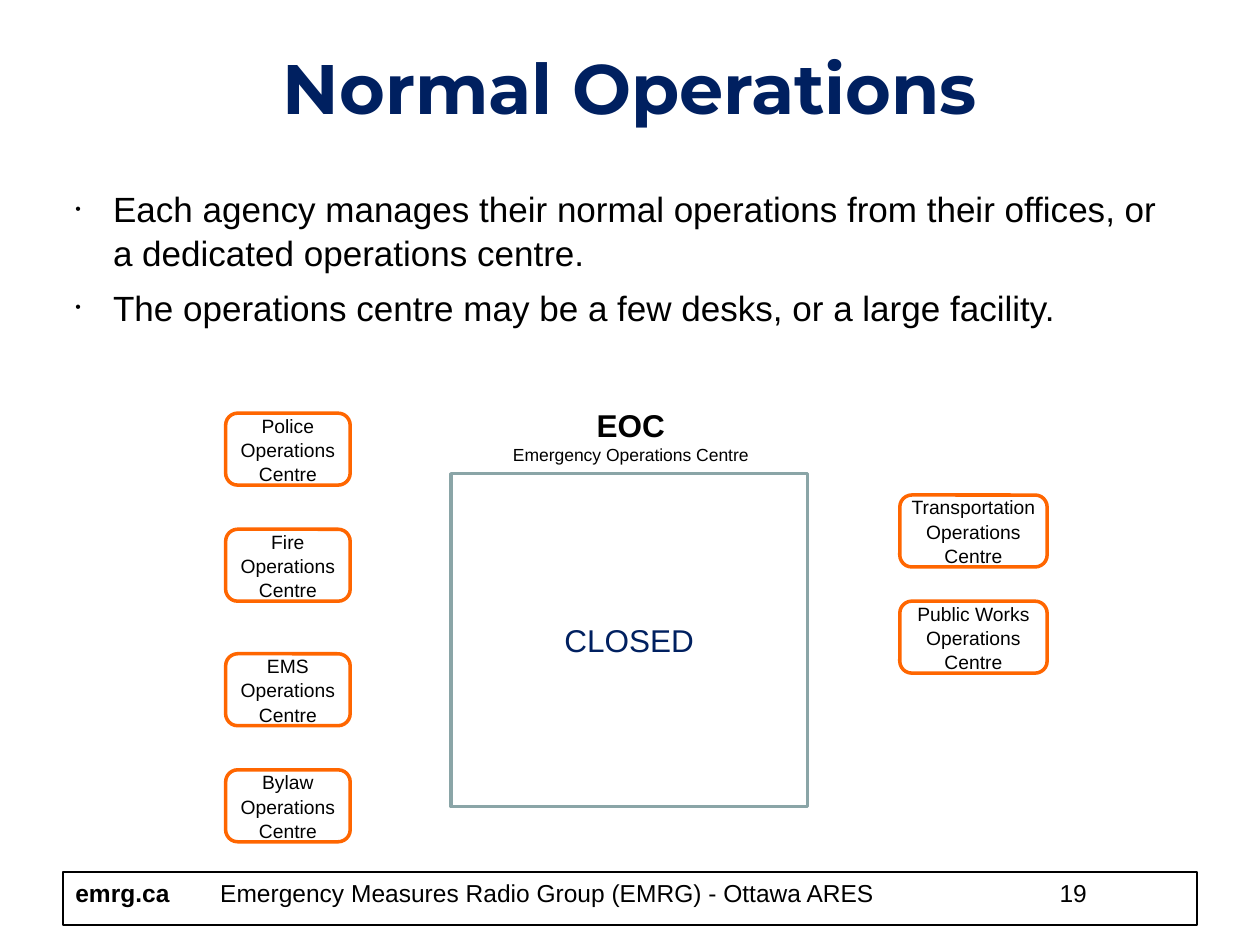
from lxml import etree
from pptx import Presentation
from pptx.dml.color import RGBColor
from pptx.enum.shapes import MSO_SHAPE
from pptx.enum.text import MSO_ANCHOR, PP_ALIGN
from pptx.oxml.ns import qn
from pptx.util import Cm, Pt

RECT, ROUNDED = MSO_SHAPE.RECTANGLE, MSO_SHAPE.ROUNDED_RECTANGLE
TOP, MIDDLE = MSO_ANCHOR.TOP, MSO_ANCHOR.MIDDLE
LEFT, CENTER = PP_ALIGN.LEFT, PP_ALIGN.CENTER
BLACK = RGBColor(0x00, 0x00, 0x00)
NAVY = RGBColor(0x00, 0x20, 0x60)
ORANGE = RGBColor(0xFF, 0x66, 0x00)
GREY = RGBColor(0x8A, 0xA5, 0xA7)


def add_box(left, top, width, height, shape=None, line=BLACK, weight=2, inset=0.25):
    """Add an unfilled outline, or a plain text box when no shape is given (cm)."""
    area = Cm(left), Cm(top), Cm(width), Cm(height)
    if shape is None:
        s = slide.shapes.add_textbox(*area)
    else:
        s = slide.shapes.add_shape(shape, *area)
        s.shadow.inherit = False
        s.fill.background()
        s.line.color.rgb = line
        s.line.width = Pt(weight)
    tf = s.text_frame
    tf.word_wrap = True
    tf.vertical_anchor = TOP if shape is None else MIDDLE
    tf.margin_left = tf.margin_right = Cm(inset)
    tf.margin_top = tf.margin_bottom = Cm(0.13)
    return s


def write(s, text, size=14, font="Arial", color=BLACK, bold=False, align=LEFT,
          spacing=None, before=0, bullet=False):
    """Fill the first paragraph of the shape, or add another one after it."""
    tf = s.text_frame
    p = tf.paragraphs[0]
    if p.runs:
        p = tf.add_paragraph()
        p.space_before = Pt(before)
    p.alignment = align
    if spacing:
        p.line_spacing = spacing
    if bullet:
        pPr = p._p.get_or_add_pPr()
        pPr.set("marL", str(Cm(0.76)))
        pPr.set("indent", str(-Cm(0.76)))
        etree.SubElement(pPr, qn("a:buSzPct")).set("val", "45000")
        etree.SubElement(pPr, qn("a:buFont")).set("typeface", "Arial")
        etree.SubElement(pPr, qn("a:buChar")).set("char", "•")
    r = p.add_run()
    r.text = text
    r.font.size = Pt(size)
    r.font.name = font
    r.font.bold = bold
    r.font.color.rgb = color


prs = Presentation()
prs.slide_width, prs.slide_height = Cm(25.4), Cm(19.05)
slide = prs.slides.add_slide(prs.slide_layouts[6])

# Footer
FOOTER_TOP = 17.58
add_box(1.27, FOOTER_TOP, 22.86, 1.07, RECT, weight=1)
for left, width, text, bold in [
    (1.27, 2.57, "emrg.ca", True),
    (4.19, 16.76, "Emergency Measures Radio Group (EMRG) - Ottawa ARES", False),
    (21.11, 3.02, "19", False),
]:
    write(add_box(left, FOOTER_TOP, width, 1.07), text, bold=bold)

# Title and bullets
title = add_box(1.27, 0.76, 22.86, 2.84)
write(title, "Normal Operations", size=40, font="Montserrat", color=NAVY,
      bold=True, align=CENTER)

body = add_box(1.27, 3.61, 22.86, 3)
for text in [
    "Each agency manages their normal operations from their offices, "
    "or a dedicated operations centre.",
    "The operations centre may be a few desks, or a large facility.",
]:
    write(body, text, size=20, spacing=1.05, before=6, bullet=True)

# Emergency operations centre
heading = add_box(9.96, 8.05, 5.51, 1.45)
write(heading, "EOC", size=18, bold=True, align=CENTER)
write(heading, "Emergency Operations Centre", size=10, align=CENTER)

eoc = add_box(9.09, 9.55, 7.19, 6.71, RECT, line=GREY)
write(eoc, "CLOSED", size=18, color=NAVY, align=CENTER)

# Agency operations centres, one column on each side
for left, width, agencies in [
    (4.55, 2.51, [("Police", 8.33), ("Fire", 10.67), ("EMS", 13.18), ("Bylaw", 15.52)]),
    (18.14, 2.97, [("Transportation", 9.98), ("Public Works", 12.12)]),
]:
    for agency, top in agencies:
        centre = add_box(left, top, width, 1.45, ROUNDED, line=ORANGE, inset=0)
        for text in (agency, "Operations Centre"):
            write(centre, text, size=11, align=CENTER, spacing=1.05)

prs.save("out.pptx")
